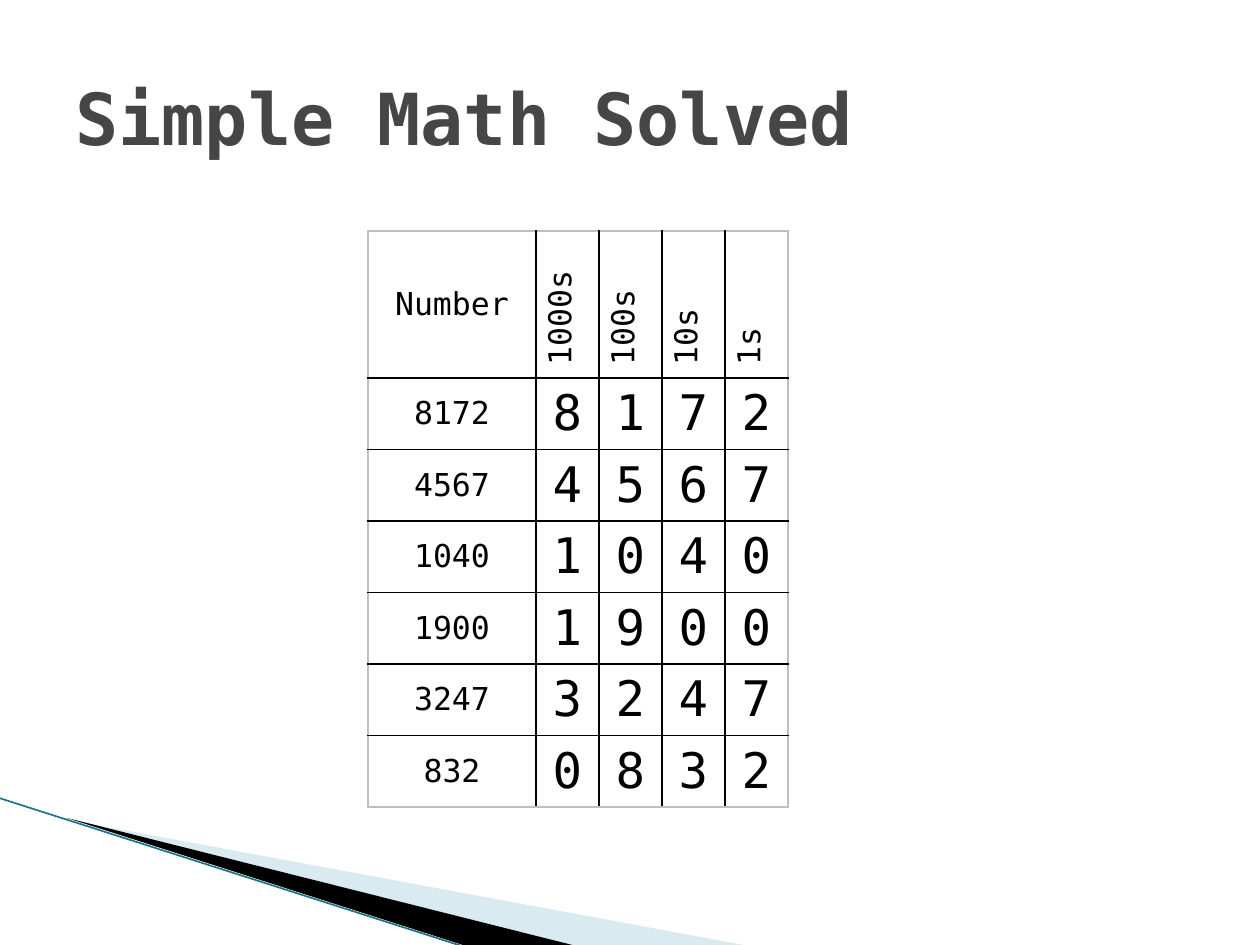
import pptx
import pptx.util
from lxml import etree
from pptx.dml.color import RGBColor
from pptx.enum.shapes import MSO_CONNECTOR
from pptx.enum.text import MSO_ANCHOR, PP_ALIGN
from pptx.oxml.ns import qn

PX = 914400 / 126
FONT = "DejaVu Sans Mono"
BLACK = RGBColor(0x00, 0x00, 0x00)
TITLE_GRAY = RGBColor(0x46, 0x46, 0x46)
EDGE_GRAY = RGBColor(0xBF, 0xBF, 0xBF)
PALE_BLUE = RGBColor(0xA0, 0xCB, 0xDC)
TEAL = RGBColor(0x1B, 0x75, 0x87)

PLACES = ["1000s", "100s", "10s", "1s"]
NUMBERS = [8172, 4567, 1040, 1900, 3247, 832]


def px(n):
    return pptx.util.Emu(round(n * PX))


def write(tf, text, size=18, color=BLACK, bold=False, align=PP_ALIGN.LEFT):
    p = tf.paragraphs[0]
    p.alignment = align
    r = p.add_run()
    r.text = text
    r.font.name = FONT
    r.font.size = pptx.util.Pt(size)
    r.font.bold = bold
    r.font.color.rgb = color


def add_title(s, x, y, w, h):
    tf = s.shapes.add_textbox(px(x), px(y), px(w), px(h)).text_frame
    tf.word_wrap = True
    tf.vertical_anchor = MSO_ANCHOR.MIDDLE
    write(tf, "Simple Math Solved", size=41, color=TITLE_GRAY, bold=True)


def add_wedge(s, x, y, points, color, alpha=None):
    """Fill the polygon that starts at (x, y); points are offsets from it."""
    fb = s.shapes.build_freeform(round(x), round(y), scale=PX)
    fb.add_line_segments([(x + dx, y + dy) for dx, dy in points], close=True)
    sp = fb.convert_to_shape()
    sp.shadow.inherit = False
    sp.line.fill.background()
    sp.fill.solid()
    sp.fill.fore_color.rgb = color
    if alpha is not None:
        clr = sp._element.spPr.find(qn("a:solidFill"))[0]
        etree.SubElement(clr, qn("a:alpha"), val=str(alpha * 1000))


def add_corner(s, x, y):
    """Draw the swoosh whose upper left end is at (x, y)."""
    add_wedge(s, x + 70, y + 22, [(680, 126), (505, 126)], PALE_BLUE, alpha=40)
    add_wedge(s, x + 68, y + 20, [(509, 128), (402, 129)], BLACK)
    line = s.shapes.add_connector(MSO_CONNECTOR.STRAIGHT, px(x), px(y), px(x + 469), px(y + 150))
    line.line.color.rgb = TEAL
    line.line.width = pptx.util.Pt(0.95)
    etree.SubElement(line._element.spPr, qn("a:effectLst"))


def set_borders(cell, colors):
    """Give the cell 1 pt borders, colours in the order left, right, top, bottom."""
    tcPr = cell._tc.get_or_add_tcPr()
    for side, color in zip("LRTB", colors):
        ln = etree.SubElement(tcPr, qn(f"a:ln{side}"), w="12700")
        fill = etree.SubElement(ln, qn("a:solidFill"))
        etree.SubElement(fill, qn("a:srgbClr"), val=str(color))


def add_place_table(s, x, y, widths, heights):
    rows = [["Number"] + PLACES]
    rows += [[str(n), *f"{n:04d}"] for n in NUMBERS]
    last_row, last_col = len(rows) - 1, len(widths) - 1
    table = s.shapes.add_table(len(rows), len(widths), px(x), px(y),
                               px(sum(widths)), px(sum(heights))).table
    table.first_row = table.horz_banding = False
    for column, w in zip(table.columns, widths):
        column.width = px(w)
    for row, h in zip(table.rows, heights):
        row.height = px(h)
    for i, row in enumerate(rows):
        for j, text in enumerate(row):
            cell = table.cell(i, j)
            outer = (j == 0, j == last_col, i == 0, i == last_row)
            set_borders(cell, [EDGE_GRAY if o else BLACK for o in outer])
            cell.fill.background()
            if i == 0 and j > 0:
                cell._tc.tcPr.set("vert", "vert270")
                write(cell.text_frame, text)
            else:
                cell.vertical_anchor = MSO_ANCHOR.MIDDLE
                write(cell.text_frame, text, size=28 if j else 18, align=PP_ALIGN.CENTER)


def main():
    prs = pptx.Presentation()
    prs.slide_width, prs.slide_height = px(1260), px(945)
    s = prs.slides.add_slide(prs.slide_layouts[6])
    add_corner(s, -1, 798)
    add_title(s, 63, 38, 1134, 157)
    add_place_table(s, 368, 231, [168] + [63] * len(PLACES), [147] + [66] * len(NUMBERS))
    prs.save("out.pptx")


if __name__ == "__main__":
    main()
